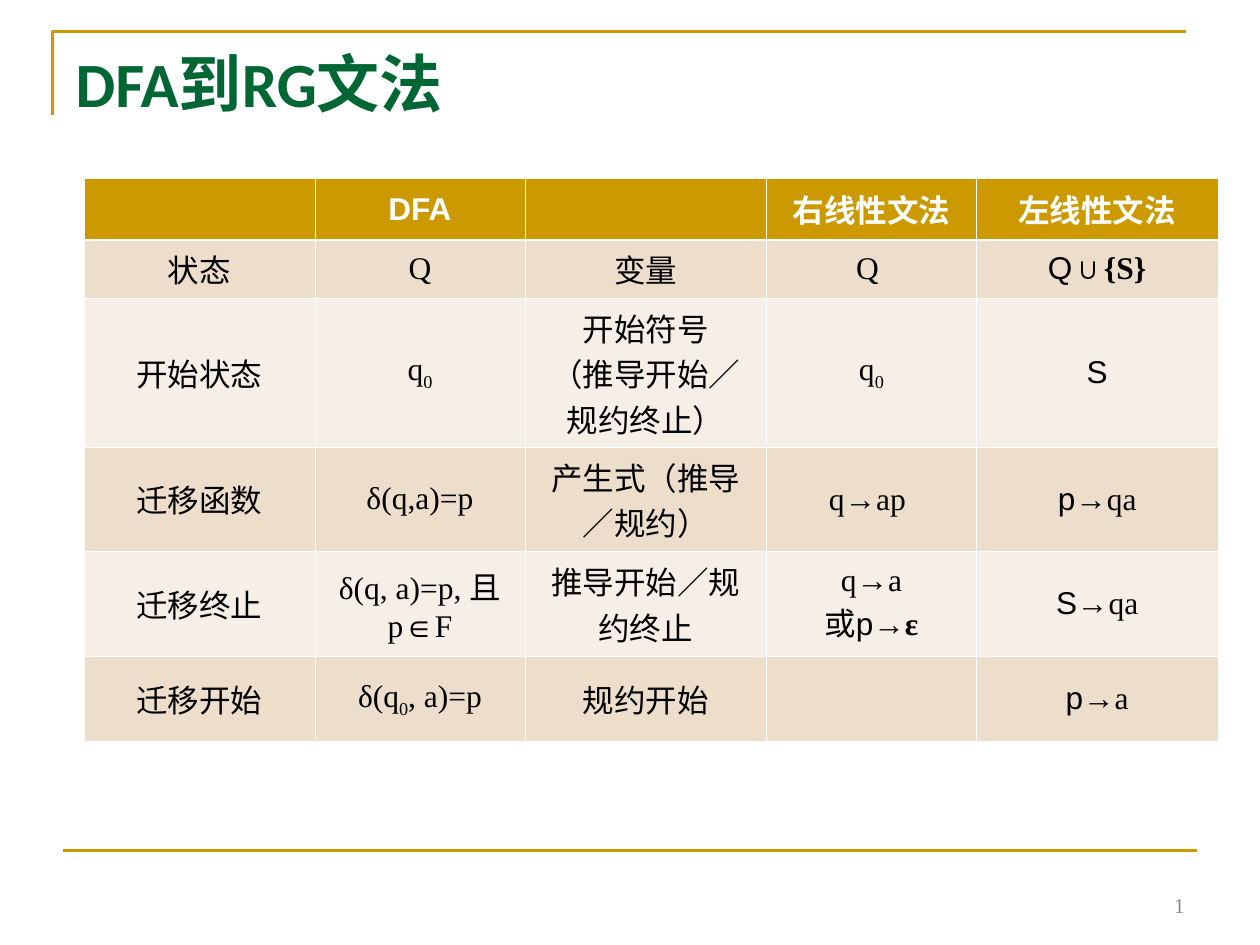
import pptx
import pptx.util
from pptx.dml.color import RGBColor
from pptx.enum.shapes import MSO_CONNECTOR
from pptx.enum.text import MSO_ANCHOR, MSO_AUTO_SIZE, PP_ALIGN
from pptx.oxml import parse_xml
from pptx.oxml.ns import nsdecls, qn

Pt = pptx.util.Pt

COLORS = {
    "gold": "CC9900", "green": "006633", "grey": "898989",
    "white": "FFFFFF", "black": "000000",
    "band_dark": "ECDECB", "band_light": "F6EFE7",
}

# Run styles: font, bold, subscript
STYLES = {
    "sans": ("Arial", False, False),
    "head": ("Arial", True, False),
    "serif": ("Times New Roman", False, False),
    "strong": ("Times New Roman", True, False),
    "sub": ("Times New Roman", False, True),
}

COL_WIDTHS = [132, 120, 138, 120, 138]
ROW_HEIGHTS = [35, 33.5, 85, 59.5, 60, 49]


def sans(text):
    return [[(text, "sans")]]


def serif(text):
    return [[(text, "serif")]]


def head(text):
    return [[(text, "head")]]


Q0 = [[("q", "serif"), ("0", "sub")]]

# Each cell is a list of paragraphs, each paragraph a list of (text, style)
ROWS = [
    [[], head("DFA"), [], head("右线性文法"), head("左线性文法")],
    [sans("状态"), serif("Q"), serif("变量"), serif("Q "),
     [[("Q", "sans"), ("∪{S}", "strong")]]],
    [sans("开始状态"), Q0,
     [[("开始符号", "serif")],
      [("（推导开始", "serif"), ("／", "sans"), ("规约终止）", "serif")]],
     Q0, sans("S")],
    [sans("迁移函数"), serif("δ(q,a)=p"),
     [[("产生式（推导", "serif"), ("／", "sans"), ("规约）", "serif")]],
     [[("q", "serif"), ("→", "sans"), ("ap ", "serif")]],
     [[("p→", "sans"), ("qa", "serif")]]],
    [sans("迁移终止"), serif("δ(q, a)=p, 且p∈F"), sans("推导开始／规约终止"),
     [[("q", "serif"), ("→", "sans"), ("a", "serif")],
      [("或", "serif"), ("p→", "sans"), ("ε", "strong")]],
     [[("S→", "sans"), ("qa", "serif")]]],
    [sans("迁移开始"),
     [[("δ(q", "serif"), ("0", "sub"), (", a)=p", "serif")]],
     sans("规约开始"), [],
     [[("p→", "sans"), ("a", "serif")]]],
]


def rgb(name):
    return RGBColor.from_string(COLORS[name])


def add_run(p, text, font, size, color, bold=False, subscript=False):
    r = p.add_run()
    r.text = text
    r.font.name = font
    r.font.size = Pt(size)
    r.font.bold = bold
    r.font.color.rgb = rgb(color)
    if subscript:
        r.font._element.set("baseline", "-25000")


def place(sp, x, y, w, h):
    sp.left, sp.top, sp.width, sp.height = Pt(x), Pt(y), Pt(w), Pt(h)


def add_title(s, x, y, w, h):
    sp = s.shapes.title
    place(sp, x, y, w, h)
    tf = sp.text_frame
    tf.auto_size = MSO_AUTO_SIZE.NONE
    tf.vertical_anchor = MSO_ANCHOR.TOP
    p = tf.paragraphs[0]
    p.alignment = PP_ALIGN.LEFT
    add_run(p, "DFA到RG文法", "Calibri", 36, "green", bold=True)


def add_corner(s, x, y, w, h):
    """Angle rule around the top left of the title."""
    fb = s.shapes.build_freeform(Pt(x), Pt(y + h))
    fb.add_line_segments([(Pt(x), Pt(y)), (Pt(x + w), Pt(y))], close=False)
    sp = fb.convert_to_shape()
    sp.shadow.inherit = False
    sp.fill.background()
    sp.line.color.rgb = rgb("gold")
    sp.line.width = Pt(1.5)


def add_footer(s, x, y, w, h):
    """Rule along the top of the box and page number at its lower right."""
    rule = s.shapes.add_connector(MSO_CONNECTOR.STRAIGHT,
                                  Pt(x), Pt(y), Pt(x + w), Pt(y))
    rule.line.color.rgb = rgb("gold")
    rule.line.width = Pt(1.5)
    rule._element.spPr.append(parse_xml(f"<a:effectLst {nsdecls('a')}/>"))

    num_w, num_h = 168, 36
    sp = s.shapes.add_textbox(Pt(x + w - num_w), Pt(y + h - num_h),
                              Pt(num_w), Pt(num_h))
    tf = sp.text_frame
    tf.word_wrap = True
    tf.vertical_anchor = MSO_ANCHOR.BOTTOM
    p = tf.paragraphs[0]
    p.alignment = PP_ALIGN.RIGHT
    add_run(p, "1", "Times New Roman", 12, "grey")


def set_borders(cell, **widths):
    tcPr = cell._tc.get_or_add_tcPr()
    for side in "LRTB":
        width = Pt(widths.get(side, 0.45))
        tcPr.append(parse_xml(
            f'<a:ln{side} {nsdecls("a")} w="{width}"><a:solidFill>'
            f'<a:srgbClr val="{COLORS["white"]}"/></a:solidFill></a:ln{side}>'))


def fill_cell(cell, paragraphs, color):
    cell.vertical_anchor = MSO_ANCHOR.MIDDLE
    tf = cell.text_frame
    for i, runs in enumerate(paragraphs):
        p = tf.add_paragraph() if i else tf.paragraphs[0]
        p.alignment = PP_ALIGN.CENTER
        for text, style in runs:
            font, bold, subscript = STYLES[style]
            add_run(p, text, font, 18, color, bold, subscript)


def add_grammar_table(s, x, y):
    table = s.shapes.add_table(len(ROWS), len(COL_WIDTHS), Pt(x), Pt(y),
                               Pt(sum(COL_WIDTHS)), Pt(sum(ROW_HEIGHTS))).table
    for column, width in zip(table.columns, COL_WIDTHS):
        column.width = Pt(width)
    for i, (row, height, contents) in enumerate(
            zip(table.rows, ROW_HEIGHTS, ROWS)):
        row.height = Pt(height)
        band = "gold" if i == 0 else "band_dark" if i % 2 else "band_light"
        thick = {0: {"B": 1.47}, 1: {"T": 1.47}}.get(i, {})
        for cell, paragraphs in zip(row.cells, contents):
            set_borders(cell, **thick)
            cell.fill.solid()
            cell.fill.fore_color.rgb = rgb(band)
            fill_cell(cell, paragraphs, "black" if i else "white")


def main():
    prs = pptx.Presentation()
    prs.slide_width, prs.slide_height = Pt(720), Pt(540)
    s = prs.slides.add_slide(prs.slide_layouts.get_by_name("Title Only"))
    add_corner(s, 30, 18, 648, 48)
    add_title(s, 36, 21.6, 648, 90)
    add_footer(s, 36, 486, 648, 42)
    add_grammar_table(s, 48, 102)
    prs.save("out.pptx")


if __name__ == "__main__":
    main()
